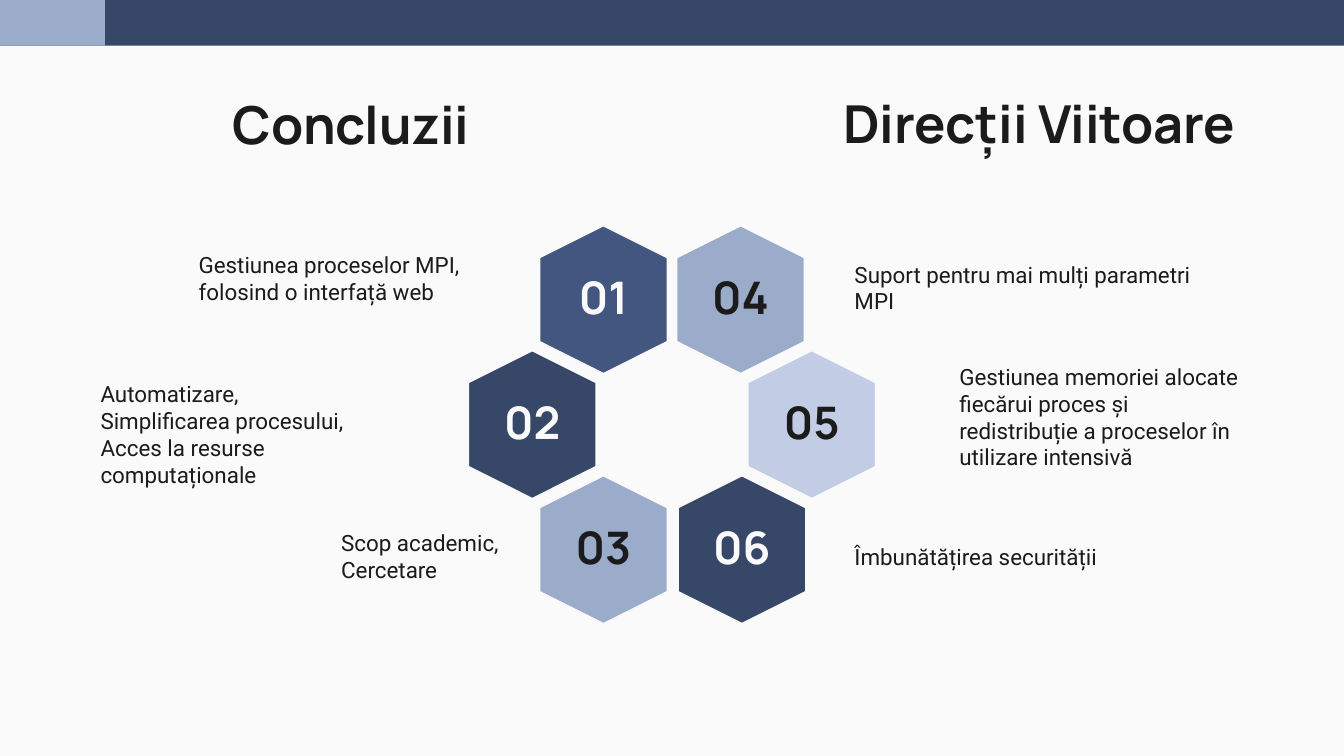
import pptx
import pptx.util
import pptx.dml.color
import pptx.enum.shapes
import pptx.enum.text

Inches = pptx.util.Inches
SHAPES = pptx.enum.shapes.MSO_SHAPE
ALIGN = pptx.enum.text.PP_ALIGN
ANCHOR = pptx.enum.text.MSO_ANCHOR

WIDTH = 10
HEIGHT = WIDTH * 9 / 16
NAVY, BLUE, STEEL, PALE = "374768", "43567F", "9BACCA", "C2CDE5"
LIGHT, DARK = "FAFAFA", "1B1B1B"

# Content: header bars (width, colour)
BARS = [(WIDTH, NAVY), (0.78, STEEL)]

# Headings: text, left, top
HEADINGS = [("Concluzii ", 0.79, 0.59), ("Direcții Viitoare ", 5.91, 0.58)]

# Hexagon ring: number, offset of its centre from the slide's middle, row, fill, text colour
INNER, OUTER = 0.51, 1.04
HEXAGONS = [
    ("01", -INNER, 0, BLUE, LIGHT),
    ("02", -OUTER, 1, NAVY, LIGHT),
    ("03", -INNER, 2, STEEL, DARK),
    ("04", INNER, 0, STEEL, DARK),
    ("05", OUTER, 1, PALE, DARK),
    ("06", INNER + 0.01, 2, NAVY, LIGHT),
]
FIRST_ROW, ROW_STEP = 2.23, 0.93
HEXAGON_LENGTH, HEXAGON_BREADTH = 1.1, 0.95
NUMBER_WIDTH, NUMBER_HEIGHT = 0.77, 0.55

# Notes: paragraphs, left, top, width, height
NOTES = [
    (["Gestiunea proceselor MPI,", "folosind o interfață web"], 1.38, 1.77, 2.56, 0.63),
    (["Automatizare, \nSimplificarea procesului,", "Acces la resurse computaționale"],
     0.65, 2.73, 2.56, 0.81),
    (["Scop academic,", "Cercetare"], 2.44, 3.84, 2.56, 0.63),
    (["Suport pentru mai mulți parametri MPI"], 6.26, 1.84, 2.97, 0.63),
    (["Gestiunea memoriei alocate fiecărui proces și\n"
      "redistribuție a proceselor în utilizare intensivă"], 7.04, 2.6, 2.56, 1.02),
    (["Îmbunătățirea securității"], 6.26, 3.94, 2.56, 0.63),
]


def color(value):
    return pptx.dml.color.RGBColor.from_string(value)


def add_filled(slide, kind, left, top, width, height, fill, line=None):
    shape = slide.shapes.add_shape(
        kind, Inches(left), Inches(top), Inches(width), Inches(height))
    shape.shadow.inherit = False
    shape.fill.solid()
    shape.fill.fore_color.rgb = color(fill)
    if line:
        shape.line.color.rgb = color(line)
        shape.line.width = pptx.util.Pt(0.75)
    else:
        shape.line.fill.background()
    return shape


def add_text(slide, paragraphs, left, top, width, height, size=12, font="Roboto",
             text_color=DARK, bold=False, align=ALIGN.LEFT, anchor=ANCHOR.TOP):
    frame = slide.shapes.add_textbox(
        Inches(left), Inches(top), Inches(width), Inches(height)).text_frame
    frame.word_wrap = True
    frame.vertical_anchor = anchor
    frame.margin_left = frame.margin_right = Inches(0.1)
    frame.margin_top = frame.margin_bottom = Inches(0.1)
    for index, text in enumerate(paragraphs):
        paragraph = frame.add_paragraph() if index else frame.paragraphs[0]
        paragraph.text = text
        paragraph.alignment = align
        paragraph.font.size = pptx.util.Pt(size)
        paragraph.font.name = font
        paragraph.font.bold = bold
        paragraph.font.color.rgb = color(text_color)


presentation = pptx.Presentation()
presentation.slide_width, presentation.slide_height = Inches(WIDTH), Inches(HEIGHT)
slide = presentation.slides.add_slide(presentation.slide_layouts[6])
slide.background.fill.solid()
slide.background.fill.fore_color.rgb = color(LIGHT)

# Header band
for bar_width, fill in BARS:
    add_filled(slide, SHAPES.RECTANGLE, 0, 0, bar_width, 0.34, fill)

# Headings
for text, left, top in HEADINGS:
    add_text(slide, [text], left, top, 3.72, 0.63, size=28, font="Manrope",
             bold=True, align=ALIGN.CENTER)

# Ring of numbered hexagons, turned to stand on a point
for number, offset, row, fill, text_color in HEXAGONS:
    center_x = WIDTH / 2 + offset
    center_y = FIRST_ROW + row * ROW_STEP
    hexagon = add_filled(
        slide, SHAPES.HEXAGON, center_x - HEXAGON_LENGTH / 2,
        center_y - HEXAGON_BREADTH / 2, HEXAGON_LENGTH, HEXAGON_BREADTH, fill, LIGHT)
    hexagon.rotation = 90
    hexagon.adjustments[0] = 0.25
    add_text(slide, [number], center_x - NUMBER_WIDTH / 2, center_y - NUMBER_HEIGHT / 2,
             NUMBER_WIDTH, NUMBER_HEIGHT, size=24, font="Manrope", text_color=text_color,
             bold=True, align=ALIGN.CENTER, anchor=ANCHOR.BOTTOM)

# Notes around the ring
for paragraphs, left, top, width, height in NOTES:
    add_text(slide, paragraphs, left, top, width, height)

presentation.save("out.pptx")
